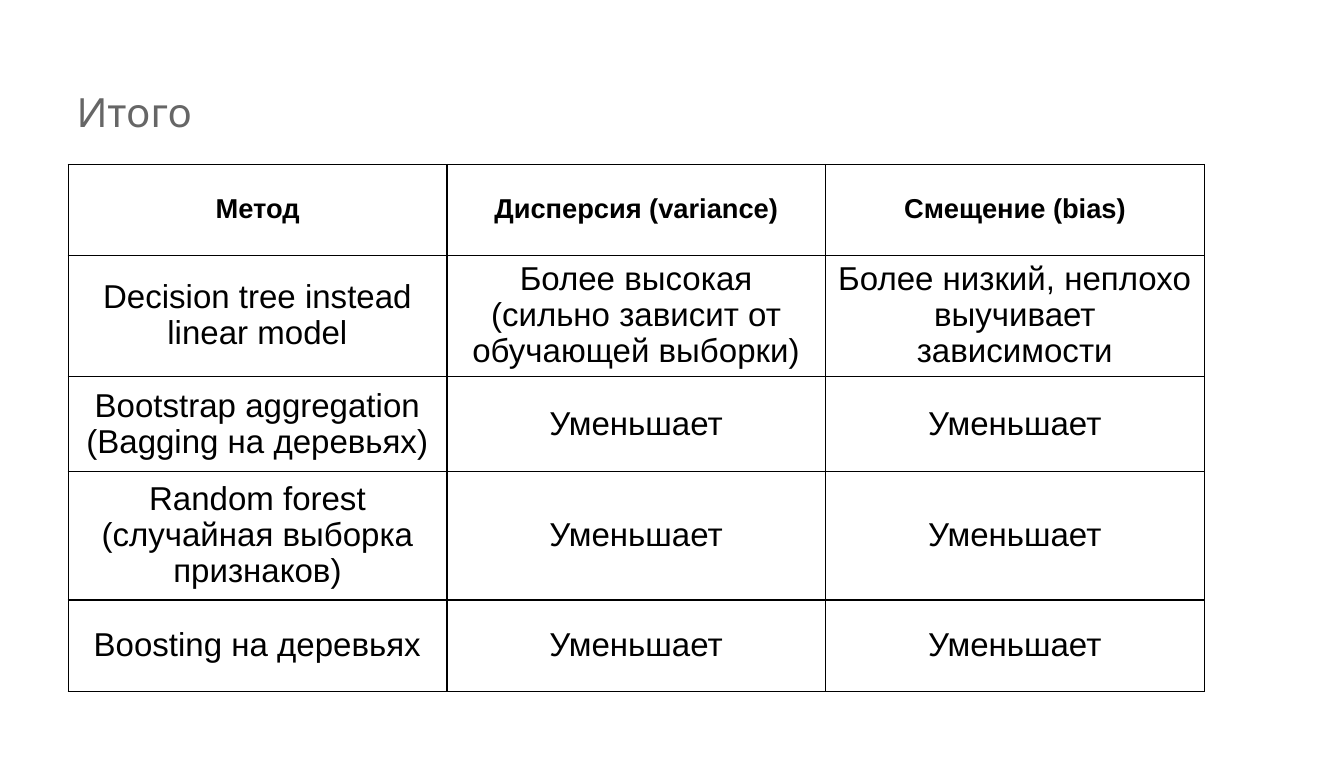
from lxml.etree import SubElement
from pptx import Presentation
from pptx.dml.color import RGBColor
from pptx.enum.text import MSO_ANCHOR, PP_ALIGN
from pptx.oxml.ns import qn
from pptx.util import Inches, Pt

COLORS = {"title": "666666", "text": "000000", "border": "000000", "back": "FFFFFF"}
LOWERS = "Уменьшает"
METHODS = [
    ["Метод", "Дисперсия (variance)", "Смещение (bias)"],
    ["Decision tree instead linear model",
     "Более высокая (сильно зависит от обучающей выборки)",
     "Более низкий, неплохо выучивает зависимости"],
    ["Bootstrap aggregation (Bagging на деревьях)", LOWERS, LOWERS],
    ["Random forest (случайная выборка признаков)", LOWERS, LOWERS],
    ["Boosting на деревьях", LOWERS, LOWERS],
]
ROW_HEIGHTS = [0.88, 1.17, 0.92, 1.24, 0.88]


class Deck:
    def __init__(self, width, height):
        self.prs = Presentation()
        self.prs.slide_width = Inches(width)
        self.prs.slide_height = Inches(height)

    def add_slide(self):
        self.slide = self.prs.slides.add_slide(self.prs.slide_layouts[5])
        fill = self.slide.background.fill
        fill.solid()
        fill.fore_color.rgb = RGBColor.from_string(COLORS["back"])

    def style(self, p, font, size, color, align, bold=False):
        p.alignment = align
        p.font.name = font
        p.font.size = Pt(size)
        p.font.bold = bold
        p.font.color.rgb = RGBColor.from_string(COLORS[color])

    def title(self, text, left, top, width, height):
        sp = self.slide.shapes.title
        sp.left, sp.top = Inches(left), Inches(top)
        sp.width, sp.height = Inches(width), Inches(height)
        tf = sp.text_frame
        tf.text = text
        tf.vertical_anchor = MSO_ANCHOR.MIDDLE
        self.style(tf.paragraphs[0], "Karla", 28, "title", PP_ALIGN.LEFT)

    def border(self, cell):
        tc_pr = cell._tc.get_or_add_tcPr()
        for side in ("a:lnL", "a:lnR", "a:lnT", "a:lnB"):
            ln = SubElement(tc_pr, qn(side), w=str(Pt(1)))
            fill = SubElement(ln, qn("a:solidFill"))
            SubElement(fill, qn("a:srgbClr"), val=COLORS["border"])

    def table(self, rows, heights, left, top, col_width):
        cols = len(rows[0])
        table = self.slide.shapes.add_table(
            len(rows), cols, Inches(left), Inches(top),
            Inches(col_width * cols), Inches(sum(heights))).table
        table.horz_banding = False
        for col in table.columns:
            col.width = Inches(col_width)
        for i, (texts, height) in enumerate(zip(rows, heights)):
            table.rows[i].height = Inches(height)
            for j, text in enumerate(texts):
                cell = table.cell(i, j)
                self.border(cell)
                cell.fill.background()
                cell.vertical_anchor = MSO_ANCHOR.MIDDLE
                cell.text = text
                p = cell.text_frame.paragraphs[0]
                p.line_spacing = 0.97
                header = i == 0
                self.style(p, "Arial", 19 if header else 23, "text",
                           PP_ALIGN.CENTER, bold=header)


def main():
    deck = Deck(12.99, 7.48)
    deck.add_slide()
    deck.title("Итого", 0.64, 0.76, 9.38, 0.63)
    deck.table(METHODS, ROW_HEIGHTS, 0.66, 1.59, 3.66)
    deck.prs.save("out.pptx")


if __name__ == "__main__":
    main()
